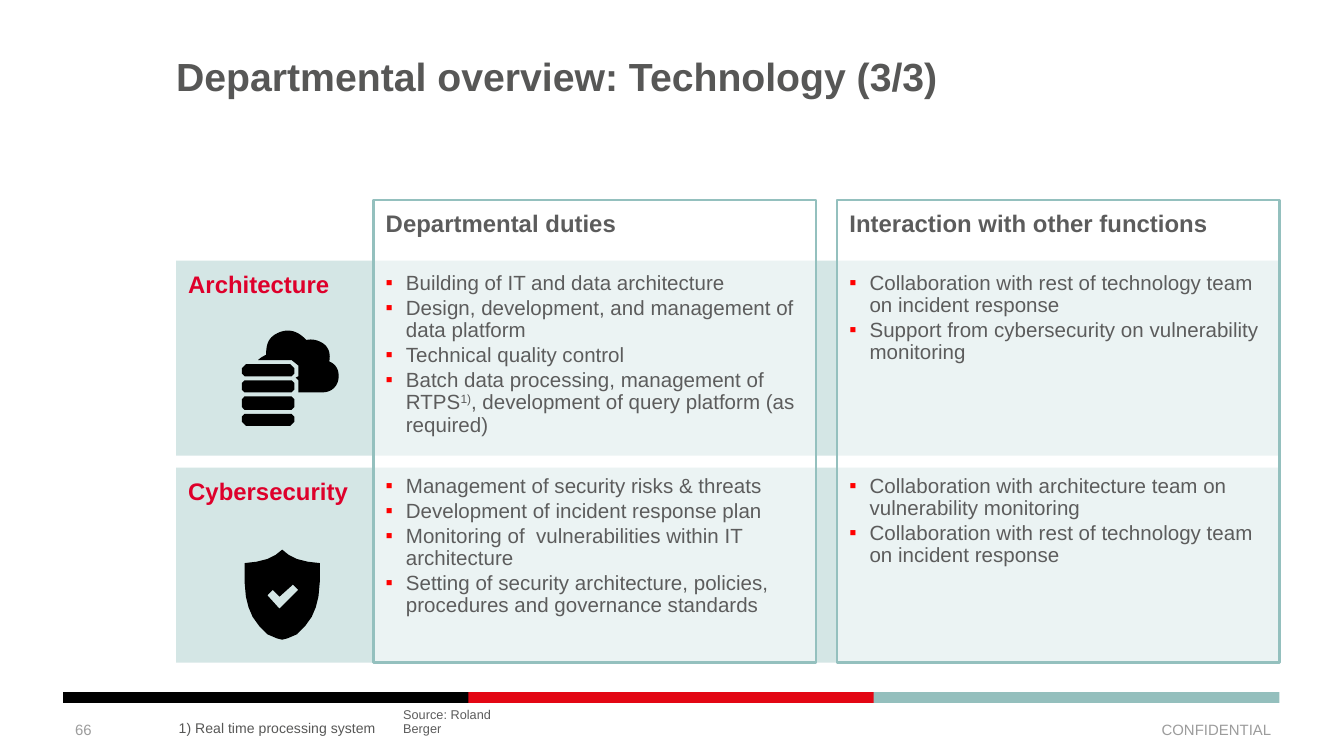
from lxml import etree
from pptx import Presentation
from pptx.dml.color import RGBColor
from pptx.enum.shapes import MSO_SHAPE
from pptx.enum.text import MSO_ANCHOR, MSO_AUTO_SIZE, PP_ALIGN
from pptx.oxml.ns import qn
from pptx.util import Inches, Pt

RECT = MSO_SHAPE.RECTANGLE
TOP, MID, BOTTOM = MSO_ANCHOR.TOP, MSO_ANCHOR.MIDDLE, MSO_ANCHOR.BOTTOM
LEFT, RIGHT = PP_ALIGN.LEFT, PP_ALIGN.RIGHT
GROW, FIXED = MSO_AUTO_SIZE.SHAPE_TO_FIT_TEXT, MSO_AUTO_SIZE.NONE
HEX = {
    "black": "000000", "red": "E30613", "teal": "94BFBD", "edge": "94C0BE",
    "band": "D4E6E5", "white": "FFFFFF", "head": "DE002B", "text": "5C5C5C",
    "title": "575756", "grey": "9C9C9C", "bullet": "FF0000",
}
COLOR = {name: RGBColor.from_string(code) for name, code in HEX.items()}

deck = Presentation()
deck.slide_width, deck.slide_height = Inches(10), Inches(10 * 9 / 16)
slide = deck.slides.add_slide(deck.slide_layouts[4])
shapes = slide.shapes


def write(shape, lines, size, color, bold=False, inset=(0, 0, 0, 0),
          anchor=TOP, align=LEFT, space=0.9, fit=FIXED, bullet=False):
    frame = shape.text_frame
    frame.word_wrap, frame.auto_size = True, fit
    frame.vertical_anchor = anchor
    (frame.margin_left, frame.margin_top,
     frame.margin_right, frame.margin_bottom) = [Inches(n) for n in inset]
    for i, line in enumerate(lines):
        par = frame.add_paragraph() if i else frame.paragraphs[0]
        par.alignment, par.line_spacing = align, space
        par.space_before = Pt(1.5 if i else 0)
        par.space_after = Pt(0)
        if bullet:
            par.level = 1
            props = par._p.get_or_add_pPr()
            props.set("marL", str(Inches(0.15)))
            props.set("indent", str(-Inches(0.15)))
            tint = etree.SubElement(props, qn("a:buClr"))
            etree.SubElement(tint, qn("a:srgbClr"), val=HEX["bullet"])
            etree.SubElement(props, qn("a:buFont"), typeface="Arial")
            etree.SubElement(props, qn("a:buChar"), char="▪")
        for j, part in enumerate(line):
            run = par.add_run()
            run.text = part
            run.font.name, run.font.size = "Arial", Pt(size)
            run.font.bold, run.font.color.rgb = bold, COLOR[color]
            if j == 1:
                run._r.get_or_add_rPr().set("baseline", "30000")


def paint(shape, color):
    shape.shadow.inherit = False
    shape.fill.solid()
    shape.fill.fore_color.rgb = COLOR[color]
    shape.line.fill.background()


for i, color in enumerate(["black", "red", "teal"]):
    bar = shapes.add_shape(RECT, Inches(0.47 + i * 3.015), Inches(5.15),
                           Inches(3.02), Inches(0.08))
    paint(bar, color)

title = shapes.title
title.left, title.top = Inches(1.31), Inches(0.43)
title.width, title.height = Inches(8.09), Inches(0.94)
write(title, [["Departmental overview: Technology (3/3)"]], 21, "title", True)

for top, name in [(1.94, "Architecture"), (3.48, "Cybersecurity")]:
    band = shapes.add_shape(RECT, Inches(1.31), Inches(top), Inches(8.21), Inches(1.45))
    paint(band, "band")
    write(band, [[name]], 12.8, "head", True, (0.09, 0.09, 0, 0))

heads = [(2.78, "Departmental duties"), (6.23, "Interaction with other functions")]
for left, name in heads:
    panel = shapes.add_shape(RECT, Inches(left), Inches(1.49), Inches(3.29), Inches(3.44))
    paint(panel, "white")
    tone = panel._element.spPr.find(qn("a:solidFill")).find(qn("a:srgbClr"))
    etree.SubElement(tone, qn("a:alpha"), val="55000")
    panel.line.color.rgb, panel.line.width = COLOR["edge"], Pt(1.25)
    write(panel, [[name]], 12.8, "text", True, (0.09, 0.09, 0, 0.06))

lists = [
    (1, 2.78, 1.94, 1.34, [
        ["Building of IT and data architecture"],
        ["Design, development, and management of data platform"],
        ["Technical quality control"],
        ["Batch data processing, management of RTPS", "1)",
         ", development of query platform (as required)"]]),
    (2, 6.23, 1.94, 0.78, [
        ["Collaboration with rest of technology team on incident response"],
        ["Support from cybersecurity on vulnerability monitoring"]]),
    (4, 6.23, 3.45, 0.78, [
        ["Collaboration with architecture team on vulnerability monitoring"],
        ["Collaboration with rest of technology team on incident response"]]),
    (3, 2.78, 3.45, 1.17, [
        ["Management of security risks & threats"],
        ["Development of incident response plan"],
        ["Monitoring of  vulnerabilities within IT architecture"],
        ["Setting of security architecture, policies, procedures and governance standards"]]),
]
bodies = {body.placeholder_format.idx: body for body in slide.placeholders}
for key, left, top, height, lines in lists:
    body = bodies[key]
    body.left, body.top = Inches(left), Inches(top)
    body.width, body.height = Inches(3.29), Inches(height)
    write(body, lines, 11, "text", inset=(0.09, 0.09, 0, 0), fit=GROW, bullet=True)
    shapes._spTree.append(body._element)

cloud = [(2.4, 2.92), (2.22, 2.92), (2.22, 2.83), (2.2, 2.81), (2.22, 2.8),
         (2.22, 2.72), (2.17, 2.68), (1.92, 2.68)]
curves = [
    [(1.94, 2.66), (1.96, 2.65), (1.98, 2.64)],
    [(1.98, 2.58), (1.99, 2.54), (2.02, 2.51)],
    [(2.05, 2.48), (2.1, 2.46), (2.14, 2.46)],
    [(2.2, 2.46), (2.24, 2.49), (2.28, 2.53)],
    [(2.32, 2.52), (2.37, 2.53), (2.41, 2.56)],
    [(2.45, 2.59), (2.46, 2.64), (2.45, 2.69)],
    [(2.5, 2.71), (2.52, 2.75), (2.52, 2.8)],
    [(2.52, 2.87), (2.47, 2.92), (2.4, 2.92)],
]
for curve in curves:
    knots = [cloud[-1]] + curve
    for step in range(1, 9):
        t = step / 8
        mix = [(1 - t) ** 3, 3 * t * (1 - t) ** 2, 3 * t * t * (1 - t), t ** 3]
        cloud.append(tuple(sum(m * k[axis] for m, k in zip(mix, knots))
                           for axis in (0, 1)))

slabs = []
for top, low, up, down in [(2.71, 2.8, 0.03, 0.02), (2.83, 2.92, 0.02, 0.02),
                           (2.95, 3.05, 0.02, 0.02), (3.08, 3.17, 0.02, 0.03)]:
    slabs.append([(1.8, top + up), (1.8 + up, top), (2.19 - up, top), (2.19, top + up),
                  (2.19, low - down), (2.19 - down, low), (1.8 + down, low),
                  (1.8, low - down)])

half = [(0, 4.09), (0.05, 4.13), (0.11, 4.16), (0.19, 4.18), (0.28, 4.19),
        (0.28, 4.33), (0.27, 4.44), (0.25, 4.52), (0.22, 4.59), (0.17, 4.66),
        (0.11, 4.72), (0.04, 4.75), (0, 4.76)]
shield = [(2.1 + x, y) for x, y in half] + [(2.1 - x, y) for x, y in half[-2:0:-1]]
check = [(2.18, 4.35), (2.08, 4.44), (2.03, 4.39), (1.99, 4.43), (2.08, 4.53), (2.22, 4.39)]

for rings in [[cloud] + slabs, [shield, check]]:
    pen = None
    for ring in rings:
        dots = [(Inches(x), Inches(y)) for x, y in ring]
        if pen is None:
            pen = shapes.build_freeform(*dots[0])
        else:
            pen.move_to(*dots[0])
        pen.add_line_segments(dots[1:], close=True)
    paint(pen.convert_to_shape(), "black")

pad = (0.1, 0.05, 0.1, 0.05)
none = (0, 0, 0, 0)
notes = [
    (7.23, 5.28, 2.33, 0.3, "CONFIDENTIAL", 8, "grey", pad, MID, RIGHT, 1),
    (0.46, 5.28, 0.85, 0.3, "66", 8, "grey", pad, MID, LEFT, 1),
    (1.33, 5.38, 8.18, 0.1, "1) Real time processing system", 7.5, "title", none, TOP, LEFT, 0.8),
    (3, 5.38, 0.87, 0.1, "Source: Roland Berger", 6.8, "text", none, BOTTOM, LEFT, 0.9),
]
for left, top, width, height, words, size, color, inset, anchor, align, space in notes:
    box = shapes.add_textbox(Inches(left), Inches(top), Inches(width), Inches(height))
    write(box, [[words]], size, color, False, inset, anchor, align, space)

deck.save("out.pptx")
